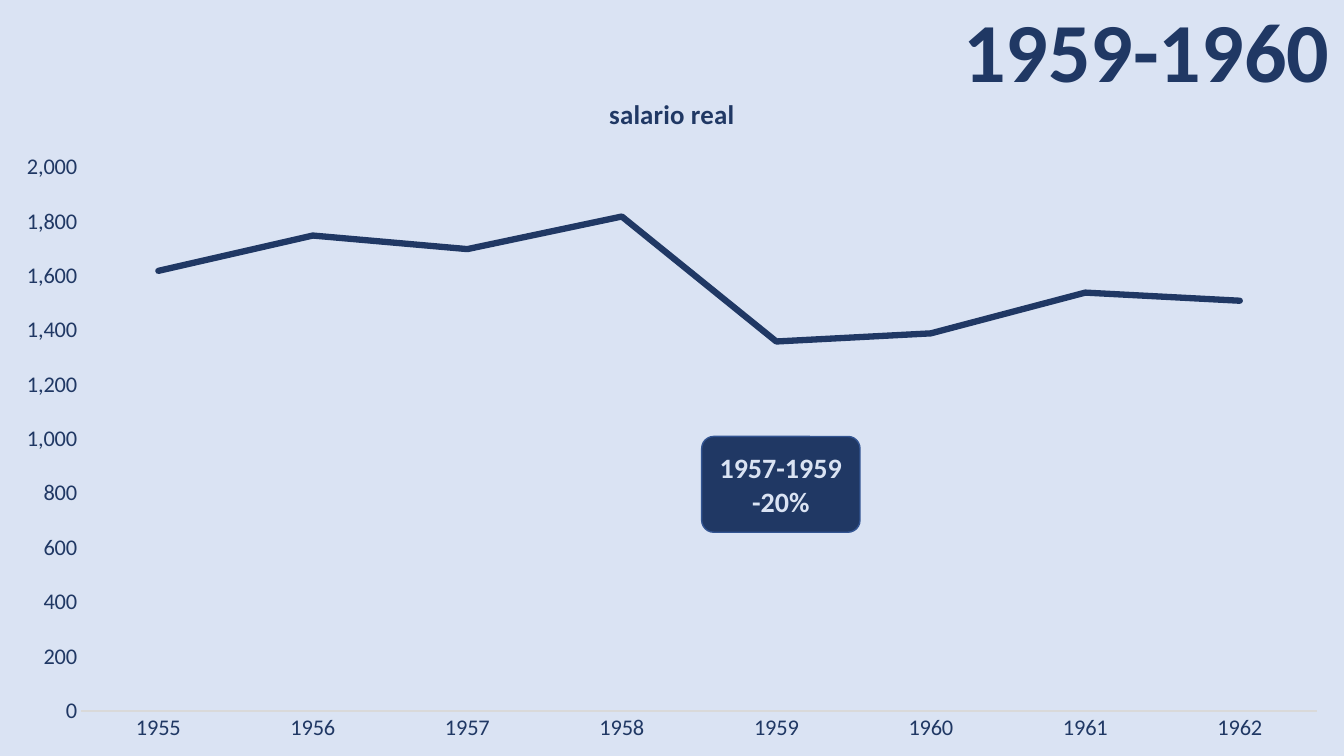
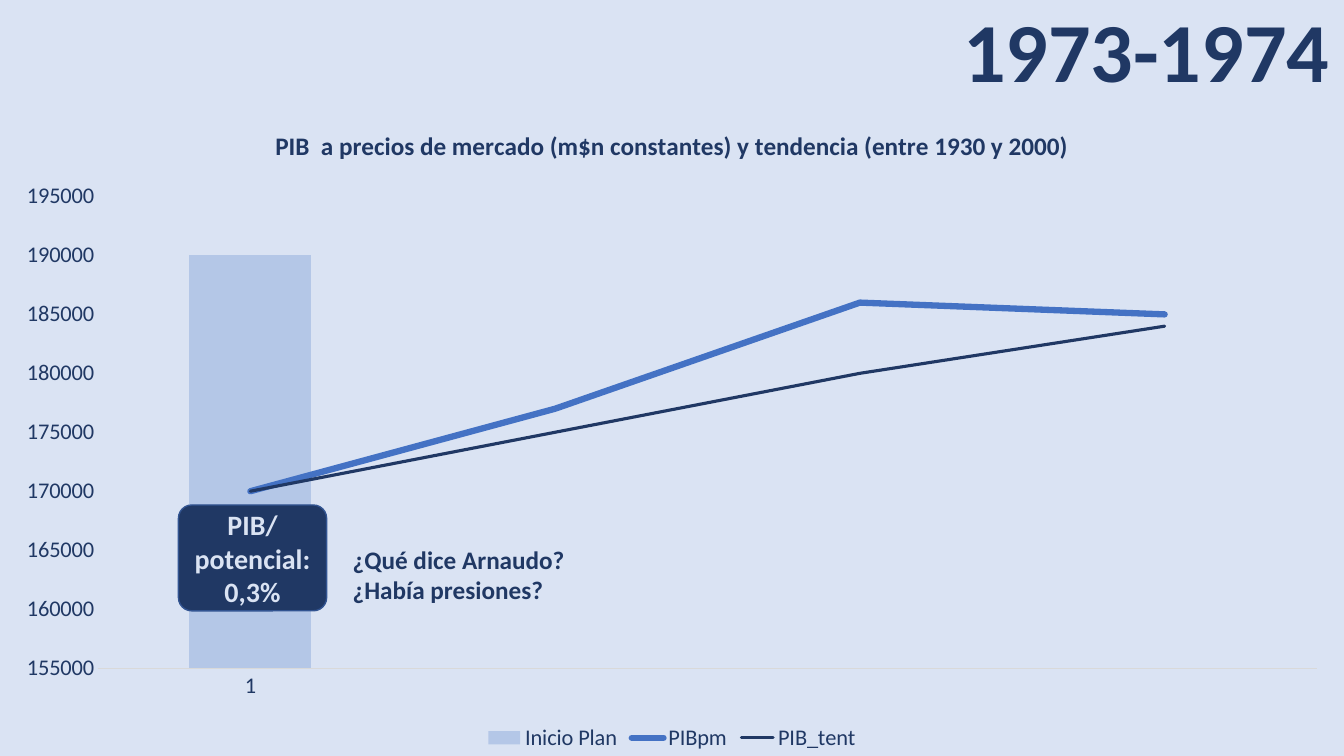
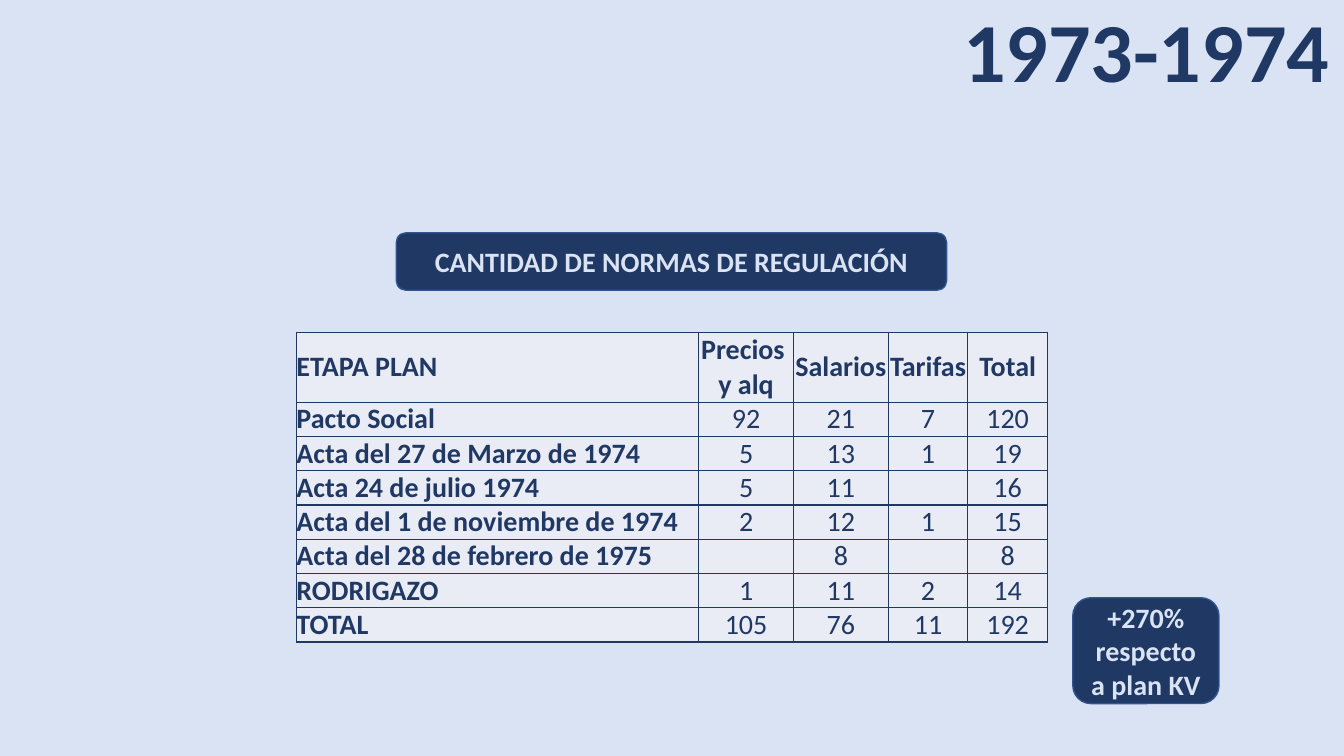
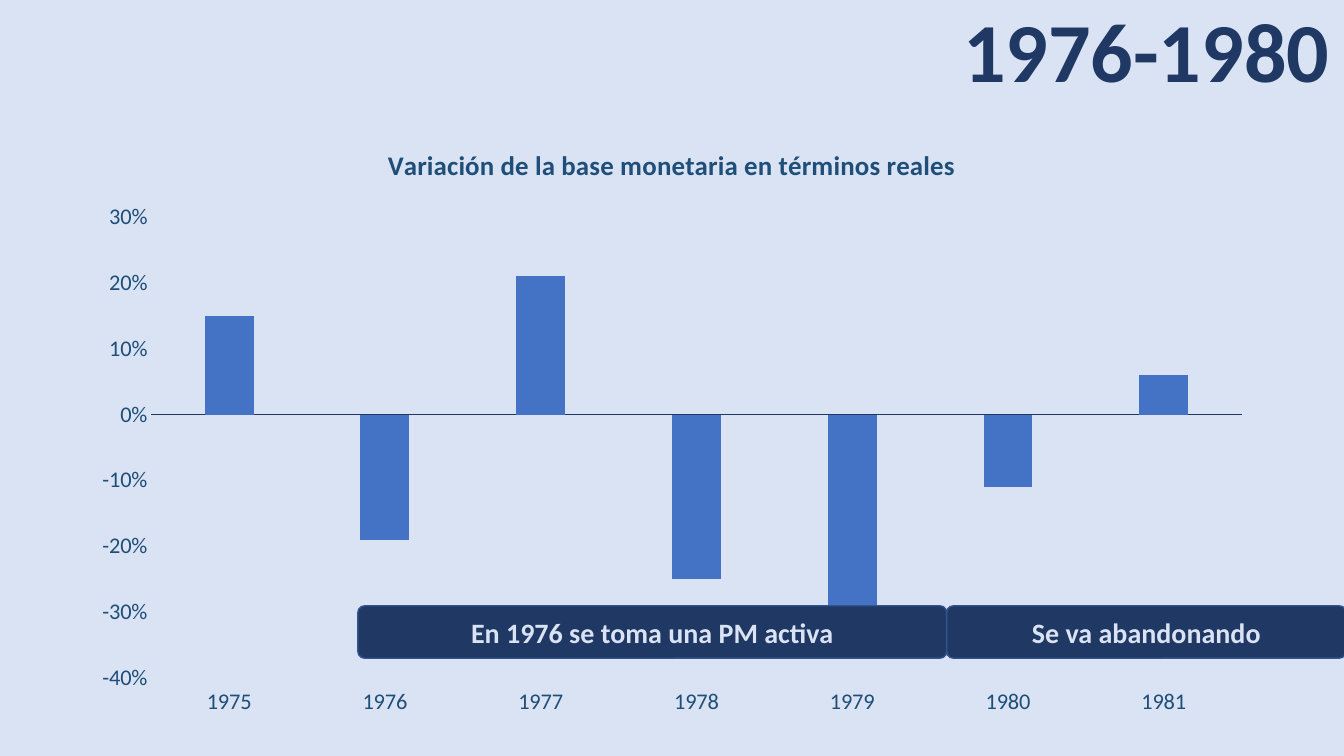
from pptx import Presentation
from pptx.chart.data import CategoryChartData
from pptx.dml.color import RGBColor
from pptx.enum.chart import (XL_CHART_TYPE, XL_LEGEND_POSITION, XL_MARKER_STYLE,
                             XL_TICK_LABEL_POSITION, XL_TICK_MARK)
from pptx.enum.shapes import MSO_SHAPE
from pptx.enum.text import MSO_ANCHOR, PP_ALIGN
from pptx.oxml import parse_xml
from pptx.oxml.ns import nsdecls, qn
from pptx.util import Inches, Pt

LINE, COLUMN = XL_CHART_TYPE.LINE, XL_CHART_TYPE.COLUMN_CLUSTERED
LEFT, CENTER = PP_ALIGN.LEFT, PP_ALIGN.CENTER
MIDDLE, BOTTOM = MSO_ANCHOR.MIDDLE, MSO_ANCHOR.BOTTOM
NO_TICK, NO_MARK = XL_TICK_MARK.NONE, XL_MARKER_STYLE.NONE
LOW, LEGEND = XL_TICK_LABEL_POSITION.LOW, XL_LEGEND_POSITION.BOTTOM
ROUNDED = MSO_SHAPE.ROUNDED_RECTANGLE

FONT = "Calibri"
PALE, NAVY, EDGE = "DAE3F3", "203864", "325491"
BLUE, LIGHT, TEAL = "4472C4", "B4C7E7", "1F4E79"
GREY, CELL = "D9D9D9", "E9EBF5"
color = RGBColor.from_string


def write(frame, lines, size, ink, align=CENTER, bold=True):
    """Fill a text frame with one paragraph per line."""
    frame.word_wrap = True
    for i, line in enumerate(lines):
        para = frame.paragraphs[0] if i == 0 else frame.add_paragraph()
        para.alignment = align
        run = para.add_run()
        run.text = line
        run.font.name, run.font.size, run.font.bold = FONT, Pt(size), bold
        run.font.color.rgb = color(ink)


def plot(slide, kind, at, cats, series, title, size, ink, base, scale, fmt):
    """Add a chart; series are (name, values, colour, line width or None)."""
    data = CategoryChartData()
    data.categories = cats
    for name, vals, _, _ in series:
        data.add_series(name, vals)
    chart = slide.shapes.add_chart(kind, *map(Inches, at), data).chart
    chart.font.name, chart.font.size = FONT, Pt(16)
    chart.font.color.rgb = color(ink)
    chart.has_legend = False
    chart.has_title = True
    write(chart.chart_title.text_frame, [title], size, ink)
    chart.chart_title.include_in_layout = False

    x, y = chart.category_axis, chart.value_axis
    for axis in (x, y):
        axis.has_major_gridlines = False
        axis.major_tick_mark = axis.minor_tick_mark = NO_TICK
    x.format.line.color.rgb = color(base)
    x.format.line.width = Pt(0.75)
    y.format.line.fill.background()
    y.minimum_scale, y.maximum_scale, y.major_unit = scale
    y.tick_labels.number_format = fmt
    y.tick_labels.number_format_is_linked = False

    # Column charts hand their line series to a line chart on the same axes.
    if kind == COLUMN and any(width for *_, width in series):
        bars = chart.plots[0]._element
        lines = parse_xml(
            f'<c:lineChart {nsdecls("c")}><c:grouping val="standard"/>'
            '<c:varyColors val="0"/><c:marker val="1"/></c:lineChart>')
        bars.addnext(lines)
        for ser, (*_, width) in zip(bars.findall(qn("c:ser")), series):
            if width:
                for flag in ser.findall(qn("c:invertIfNegative")):
                    ser.remove(flag)
                lines.find(qn("c:marker")).addprevious(ser)
        for ref in bars.findall(qn("c:axId")):
            lines.append(parse_xml(
                f'<c:axId {nsdecls("c")} val="{ref.get("val")}"/>'))

    for group in chart.plots:
        group.vary_by_categories = False
    looks = {name: (hue, width) for name, _, hue, width in series}
    for group in chart.plots:
        for ser in group.series:
            hue, width = looks[ser.name]
            if width:
                ser.smooth = False
                ser.marker.style = NO_MARK
                ser.format.line.color.rgb = color(hue)
                ser.format.line.width = Pt(width)
                ser._element.find(".//" + qn("a:ln")).set("cap", "rnd")
            else:
                ser.invert_if_negative = False
                ser.format.fill.solid()
                ser.format.fill.fore_color.rgb = color(hue)
    return chart


prs = Presentation()
prs.slide_width, prs.slide_height = Inches(13.33), Inches(7.5)
back = prs.slide_master.background.fill
back.solid()
back.fore_color.rgb = color(PALE)

slides = []
for years in ("1959-1960", "1973-1974", "1973-1974", "1976-1980"):
    slide = prs.slides.add_slide(prs.slide_layouts[6])
    frame = slide.shapes.add_textbox(*map(Inches, (9.39, 0, 3.96, 1.05))).text_frame
    frame.vertical_anchor = BOTTOM
    write(frame, [years], 60, NAVY)
    frame.paragraphs[0].line_spacing = 0.9
    slides.append(slide)
wages, output, rules, money = slides

# Real wages
plot(wages, LINE, (0, 0.71, 13.33, 6.79), [str(y) for y in range(1955, 1963)],
     [("salario real", (1620, 1750, 1700, 1820, 1360, 1390, 1540, 1510), NAVY, 4.5)],
     "salario real", 19.2, NAVY, GREY, (0, 2000, 200), "#,##0")

# Output and its trend
chart = plot(
    output, COLUMN, (0, 1.05, 13.33, 6.45), ["1", "", "", ""],
    [("Inicio Plan", (190000, None, None, None), LIGHT, None),
     ("PIBpm", (170000, 177000, 186000, 185000), BLUE, 4.5),
     ("PIB_tent", (170000, 175000, 180000, 184000), NAVY, 2.25)],
    "PIB  a precios de mercado (m$n constantes) y tendencia (entre 1930 y 2000)",
    18, NAVY, GREY, (155000, 195000, 5000), "General")
chart.plots[0].gap_width = 150
chart.has_legend = True
chart.legend.position = LEGEND
chart.legend.include_in_layout = False
asks = output.shapes.add_textbox(*map(Inches, (3.4, 5.35, 2.54, 0.71)))
write(asks.text_frame, ["¿Qué dice Arnaudo?", "¿Había presiones?"], 18, NAVY, LEFT)

# Count of rules
rows = [
    ("ETAPA PLAN", "Precios \ny alq", "Salarios", "Tarifas", "Total"),
    ("Pacto Social", "92", "21", "7", "120"),
    ("Acta del 27 de Marzo de 1974", "5", "13", "1", "19"),
    ("Acta 24 de julio 1974", "5", "11", "", "16"),
    ("Acta del 1 de noviembre de 1974", "2", "12", "1", "15"),
    ("Acta del 28 de febrero de 1975", "", "8", "", "8"),
    ("RODRIGAZO", "1", "11", "2", "14"),
    ("TOTAL", "105", "76", "11", "192"),
]
widths = (3.99, 0.94, 0.94, 0.79, 0.79)
table = rules.shapes.add_table(len(rows), len(widths), Inches(2.94), Inches(3.3),
                               Inches(sum(widths)), Inches(3.07)).table
for col, width in zip(table.columns, widths):
    col.width = Inches(width)
for r, row in enumerate(rows):
    table.rows[r].height = Inches(0.34 if r else 0.69)
    for c, text in enumerate(row):
        cell = table.cell(r, c)
        cell.margin_left = cell.margin_right = 0
        cell.margin_top = cell.margin_bottom = 0
        cell.vertical_anchor = MIDDLE
        if text:
            write(cell.text_frame, text.split("\n"), 20, NAVY,
                  CENTER if c else LEFT, r == 0 or c == 0)
        props = cell._tc.get_or_add_tcPr()
        for side in ("lnL", "lnR", "lnT", "lnB"):
            props.append(parse_xml(
                f'<a:{side} {nsdecls("a")} w="12700"><a:solidFill>'
                f'<a:srgbClr val="{NAVY}"/></a:solidFill></a:{side}>'))
        cell.fill.solid()
        cell.fill.fore_color.rgb = color(CELL)

# Monetary base
chart = plot(money, COLUMN, (0.78, 1.23, 11.77, 5.99),
             [str(y) for y in range(1975, 1982)],
             [("Base monetaria", (0.15, -0.19, 0.21, -0.25, -0.29, -0.11, 0.06),
               BLUE, None)],
             "Variación de la base monetaria en términos reales", 19.2, TEAL, NAVY,
             (-0.4, 0.3, 0.1), "0%")
chart.plots[0].gap_width, chart.plots[0].overlap = 219, -27
chart.category_axis.tick_label_position = LOW

# Callouts
for slide, at, bend, lines in (
    (wages, (6.96, 4.33, 1.57, 0.95), 0.125, ["1957-1959", "-20%"]),
    (output, (1.77, 5.01, 1.47, 1.05), 0.125, ["PIB/", "potencial:", "0,3%"]),
    (rules, (3.93, 2.31, 5.46, 0.57), 0.17, ["CANTIDAD DE NORMAS DE REGULACIÓN"]),
    (rules, (10.64, 5.93, 1.45, 1.05), 0.17, ["+270% respecto a plan KV"]),
    (money, (3.55, 6.01, 5.84, 0.52), 0.125, ["En 1976 se toma una PM activa"]),
    (money, (9.39, 6.01, 3.96, 0.52), 0.125, ["Se va abandonando"]),
):
    box = slide.shapes.add_shape(ROUNDED, *map(Inches, at))
    box.adjustments[0] = bend
    box.shadow.inherit = False
    box.fill.solid()
    box.fill.fore_color.rgb = color(NAVY)
    box.line.color.rgb = color(EDGE)
    box.line.width = Pt(1)
    box.text_frame.vertical_anchor = MIDDLE
    write(box.text_frame, lines, 20, PALE)

prs.save("out.pptx")
